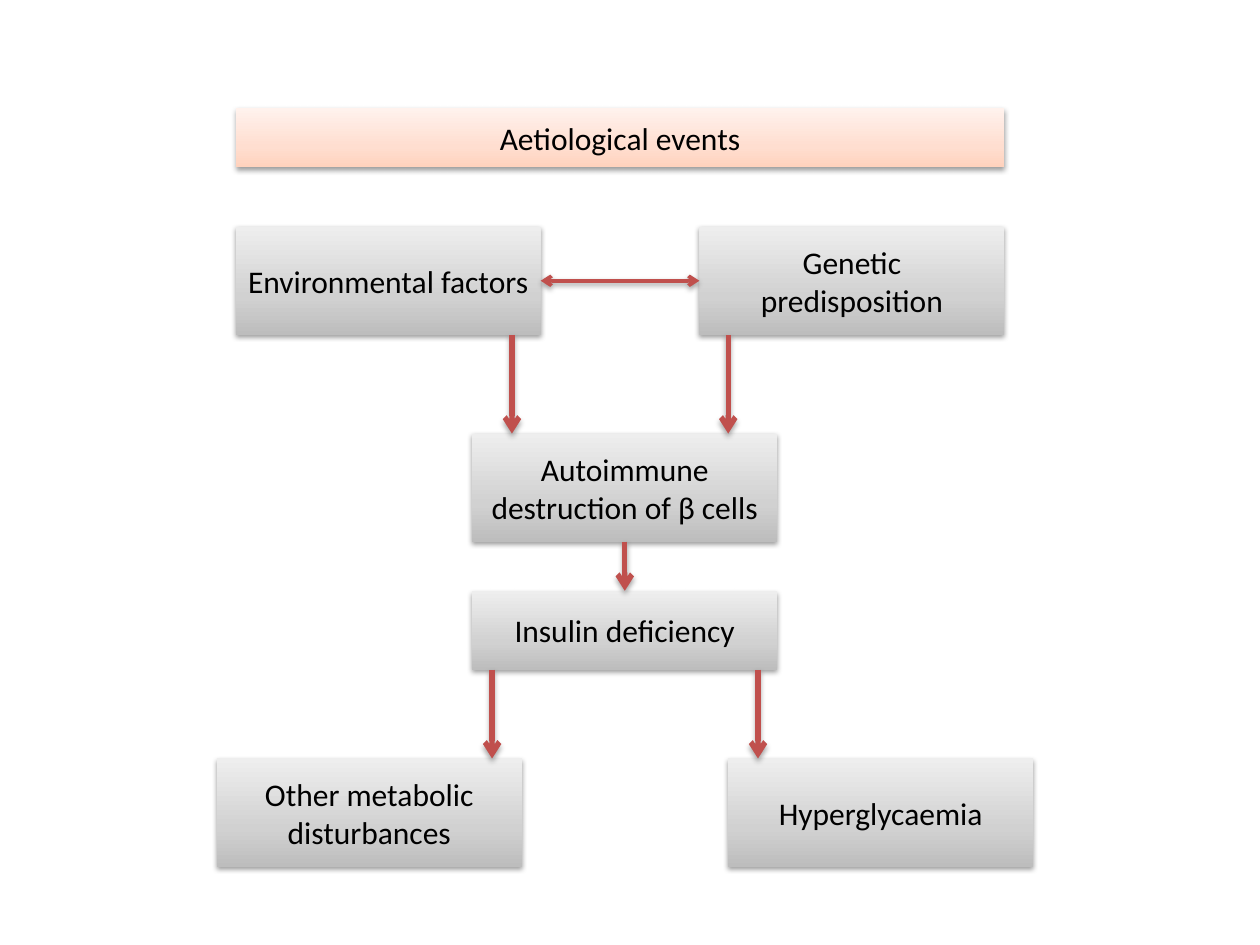
"""Build a flow chart of the aetiological events that lead to hyperglycaemia."""
from copy import deepcopy
from typing import NamedTuple, Optional

from lxml.etree import SubElement
from pptx import Presentation
from pptx.dml.color import RGBColor
from pptx.enum.shapes import MSO_CONNECTOR, MSO_SHAPE
from pptx.enum.text import MSO_ANCHOR, PP_ALIGN
from pptx.oxml.ns import qn
from pptx.util import Cm, Pt

COLORS = {"text": "000000", "arrow": "C0504D", "shadow": "000000"}
GRADIENTS = {
    "peach": ("FFD2BD", "FFDED0", "FFF2ED"),
    "grey": ("BDBDBD", "D1D1D1", "EEEEEE"),
}
STOPS = (0, 0.35, 1)
BOX_W, BOX_H = 6.15, 2.18
LEFT, RIGHT, MIDDLE = 4.75, 14.1, 9.52
BOTTOM_SITE, TOP_SITE, LEFT_SITE, RIGHT_SITE = 2, 0, 1, 3


class Box(NamedTuple):
    text: str
    left: float
    top: float
    width: float = BOX_W
    height: float = BOX_H
    gradient: str = "grey"


class Arrow(NamedTuple):
    source: str
    target: str
    x: Optional[float] = None


BOXES = {
    "heading": Box("Aetiological events", LEFT, 2.18, RIGHT + BOX_W - LEFT, 1.19, "peach"),
    "environment": Box("Environmental factors", LEFT, 4.57),
    "genetic": Box("Genetic predisposition", RIGHT, 4.57),
    "destruction": Box("Autoimmune destruction of β cells", MIDDLE, 8.74),
    "insulin": Box("Insulin deficiency", MIDDLE, 11.91, height=1.59),
    "metabolic": Box("Other metabolic disturbances", 4.37, 15.29),
    "hyperglycaemia": Box("Hyperglycaemia", 14.68, 15.29),
}
ARROWS = (
    Arrow("environment", "destruction", 10.32),
    Arrow("genetic", "destruction", 14.68),
    Arrow("destruction", "insulin"),
    Arrow("insulin", "hyperglycaemia", 15.28),
    Arrow("insulin", "metabolic", 9.92),
)


def add_shadow(sp, alpha: int, dist: float) -> None:
    """Give a shape or connector a soft shadow below it."""
    effects = SubElement(sp._element.spPr, qn("a:effectLst"))
    shadow = SubElement(effects, qn("a:outerShdw"), blurRad=str(Pt(3.1)),
                        dist=str(Pt(dist)), dir="5400000", rotWithShape="0")
    color = SubElement(shadow, qn("a:srgbClr"), val=COLORS["shadow"])
    SubElement(color, qn("a:alpha"), val=str(alpha * 1000))


def fill_gradient(sp, colors: tuple) -> None:
    """Fill a shape with a three-stop gradient running upwards."""
    sp.fill.gradient()
    sp.fill.gradient_angle = 90
    stops = sp._element.spPr.find(".//" + qn("a:gsLst"))
    stops.append(deepcopy(stops[-1]))
    for stop, position, color in zip(sp.fill.gradient_stops, STOPS, colors):
        stop.position = position
        stop.color.rgb = RGBColor.from_string(color)


def add_box(slide, box: Box):
    """Draw one labelled box."""
    sp = slide.shapes.add_shape(MSO_SHAPE.RECTANGLE, Cm(box.left), Cm(box.top),
                                Cm(box.width), Cm(box.height))
    fill_gradient(sp, GRADIENTS[box.gradient])
    sp.line.fill.background()
    add_shadow(sp, 38, 1.6)
    tf = sp.text_frame
    tf.word_wrap = True
    tf.vertical_anchor = MSO_ANCHOR.MIDDLE
    tf.text = box.text
    p = tf.paragraphs[0]
    p.alignment = PP_ALIGN.CENTER
    font = p.runs[0].font
    font.name, font.size = "Calibri", Pt(18)
    font.color.rgb = RGBColor.from_string(COLORS["text"])
    return sp


def style_arrow(line, width: float, ends: tuple, alpha: int, dist: float) -> None:
    """Set the line, arrowheads and shadow of a connector."""
    line.line.color.rgb = RGBColor.from_string(COLORS["arrow"])
    line.line.width = Pt(width)
    ln = line._element.spPr.find(qn("a:ln"))
    for end in ends:
        SubElement(ln, qn(f"a:{end}"), type="arrow")
    add_shadow(line, alpha, dist)


def add_down_arrow(slide, arrow: Arrow, shapes: dict) -> None:
    """Draw an arrow from the foot of one box to the top of another."""
    source, target = shapes[arrow.source], shapes[arrow.target]
    x = Cm(arrow.x or 0)
    line = slide.shapes.add_connector(MSO_CONNECTOR.STRAIGHT, x,
                                      source.top + source.height, x, target.top)
    if arrow.x is None:
        line.begin_connect(source, BOTTOM_SITE)
        line.end_connect(target, TOP_SITE)
    style_arrow(line, 3, ("tailEnd",), 35, 1.8)


def main() -> None:
    """Build and save the slide."""
    prs = Presentation()
    prs.slide_width, prs.slide_height = Cm(25.4), Cm(19.05)
    s = prs.slides.add_slide(prs.slide_layouts[6])
    shapes = {name: add_box(s, box) for name, box in BOXES.items()}
    link = s.shapes.add_connector(MSO_CONNECTOR.ELBOW, 0, 0, 0, 0)
    link.begin_connect(shapes["environment"], RIGHT_SITE)
    link.end_connect(shapes["genetic"], LEFT_SITE)
    style_arrow(link, 2, ("headEnd", "tailEnd"), 38, 1.6)
    for arrow in ARROWS:
        add_down_arrow(s, arrow, shapes)
    prs.save("out.pptx")


main()
